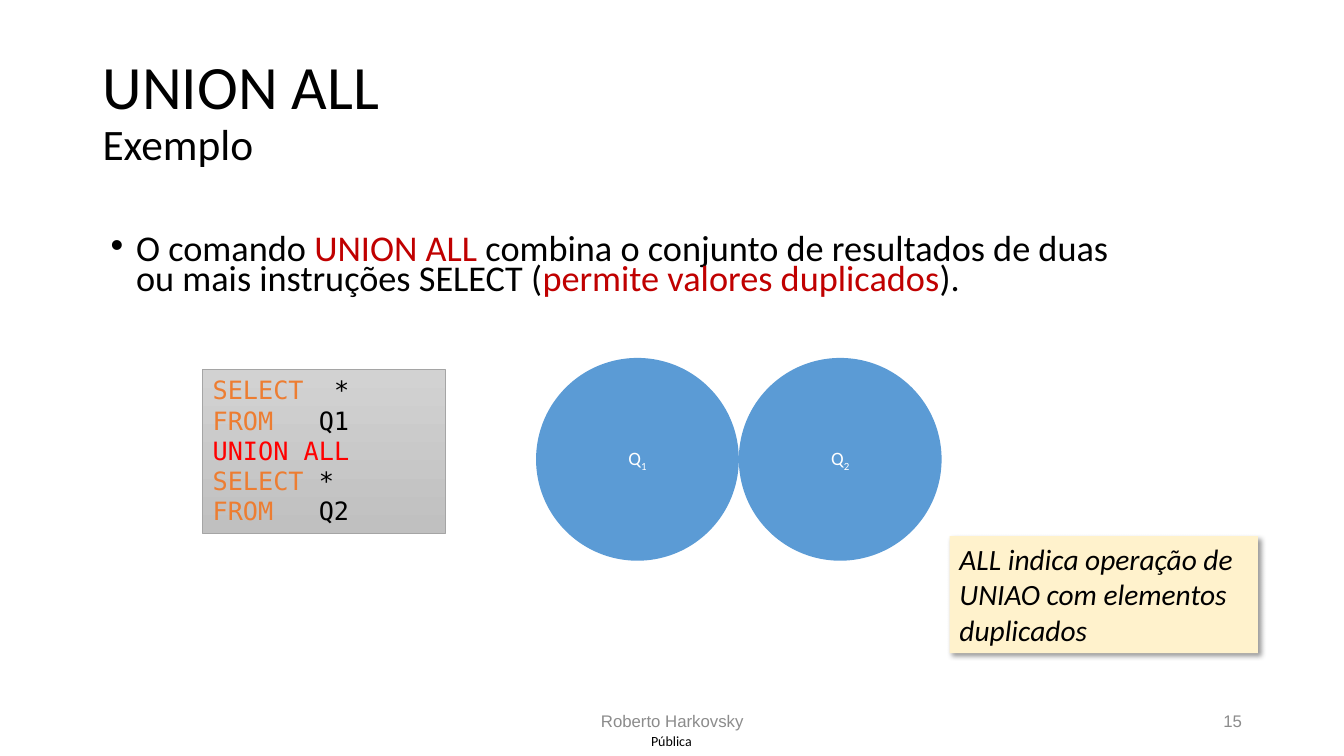
from lxml import etree
from pptx import Presentation
from pptx.dml.color import RGBColor
from pptx.enum.shapes import MSO_SHAPE
from pptx.enum.text import MSO_ANCHOR, MSO_AUTO_SIZE, PP_ALIGN
from pptx.oxml.ns import qn
from pptx.util import Cm, Pt

RECT, OVAL = MSO_SHAPE.RECTANGLE, MSO_SHAPE.OVAL
TOP, MIDDLE = MSO_ANCHOR.TOP, MSO_ANCHOR.MIDDLE
LEFT, CENTER, RIGHT = PP_ALIGN.LEFT, PP_ALIGN.CENTER, PP_ALIGN.RIGHT
FIXED = MSO_AUTO_SIZE.NONE

COLORS = {
    "black": "000000", "white": "FFFFFF", "dark": "C00000", "red": "FF0000",
    "orange": "ED7D31", "gray": "8C8C8C", "edge": "A5A5A5", "blue": "5B9BD5",
    "cream": "FFF2CC", "light": "D2D2D2", "shade": "C0C0C0",
}
TITLE = {"name": "Calibri", "size": Pt(44)}
BODY = {"name": "Calibri", "size": Pt(25.9)}
CODE = {"name": "DejaVu Sans Mono", "size": Pt(18)}
LABEL = {"name": "Calibri", "size": Pt(13.5)}
NOTE = {"name": "Calibri", "size": Pt(21), "italic": True}
FOOT = {"name": "Arial", "size": Pt(12)}
MARK = {"name": "Calibri", "size": Pt(10)}

SQL = [
    [("SELECT", "orange"), ("  *", "black")],
    [("FROM", "orange"), ("   Q1", "black")],
    [("UNION ALL", "red")],
    [("SELECT", "orange"), (" *", "black")],
    [("FROM", "orange"), ("   Q2", "black")],
]


def rgb(name):
    return RGBColor.from_string(COLORS[name])


def add_run(par, text, color, style):
    run = par.add_run()
    run.text = text
    for key, value in style.items():
        setattr(run.font, key, value)
    run.font.color.rgb = rgb(color)
    return run


def write(shape, lines, style, align=LEFT, anchor=TOP):
    """Fill a shape with lines, each a list of (text, color) runs."""
    frame = shape.text_frame
    frame.word_wrap = True
    frame.auto_size = FIXED
    frame.vertical_anchor = anchor
    for i, line in enumerate(lines):
        par = frame.add_paragraph() if i else frame.paragraphs[0]
        par.alignment = align
        for text, color in line:
            add_run(par, text, color, style)
    return frame


def add_text(slide, box, lines, style, align=LEFT, anchor=TOP):
    shape = slide.shapes.add_textbox(*map(Cm, box))
    return write(shape, lines, style, align, anchor)


def add_block(slide, kind, box, fill=None):
    shape = slide.shapes.add_shape(kind, *map(Cm, box))
    shape.shadow.inherit = False
    shape.line.fill.background()
    if fill:
        shape.fill.solid()
        shape.fill.fore_color.rgb = rgb(fill)
    return shape


def add_title(slide):
    title = slide.shapes.title
    title.left, title.top, title.width, title.height = map(
        Cm, (2.33, 1.01, 29.21, 3.68))
    frame = write(title, [[("UNION ALL", "black")]], TITLE, anchor=MIDDLE)
    par = frame.paragraphs[0]
    par.line_spacing = 0.9
    par.add_line_break()
    add_run(par, "Exemplo", "black", {**TITLE, "size": Pt(31)})


def add_body(slide):
    line = [
        ("O comando ", "black"), ("UNION ALL ", "dark"),
        ("combina o conjunto de resultados de duas ou mais instruções "
         "SELECT (", "black"),
        ("permite valores duplicados", "dark"), (").", "black"),
    ]
    frame = add_text(slide, (2.54, 5.84, 26.47, 1.98), [line], BODY)
    par = frame.paragraphs[0]
    par.line_spacing = 0.7
    props = par._p.get_or_add_pPr()
    props.set("marL", str(Cm(0.64)))
    props.set("indent", str(-Cm(0.64)))
    etree.SubElement(props, qn("a:buFont"), typeface="Arial")
    etree.SubElement(props, qn("a:buChar"), char="•")


def add_code(slide):
    shape = add_block(slide, RECT, (5.11, 9.32, 6.12, 4.11))
    shape.fill.gradient()
    shape.fill.gradient_angle = 270
    for stop, color in zip(shape.fill.gradient_stops, ("light", "shade")):
        stop.color.rgb = rgb(color)
    shape.line.color.rgb = rgb("edge")
    shape.line.width = Pt(0.5)
    write(shape, SQL, CODE)


def add_sets(slide):
    size = 5.11
    for i in range(2):
        shape = add_block(slide, OVAL, (13.51 + i * size, 9.02, size, size),
                          "blue")
        frame = write(shape, [[("Q", "white")]], LABEL, CENTER, MIDDLE)
        run = add_run(frame.paragraphs[0], str(i + 1), "white", LABEL)
        run.font._element.set("baseline", "-25000")


def add_note(slide):
    shape = add_block(slide, RECT, (23.93, 13.51, 7.77, 2.95), "cream")
    effects = shape._element.spPr.find(qn("a:effectLst"))
    shadow = etree.SubElement(
        effects, qn("a:outerShdw"), blurRad=str(Pt(4)), dist=str(Pt(3)),
        dir="2700000", algn="tl", rotWithShape="0")
    color = etree.SubElement(shadow, qn("a:srgbClr"), val=COLORS["black"])
    etree.SubElement(color, qn("a:alpha"), val="40000")
    text = "ALL indica operação de UNIAO com elementos duplicados"
    write(shape, [[(text, "black")]], NOTE)


def add_footer(slide):
    add_text(slide, (11.23, 17.65, 11.43, 1.01),
             [[("Roberto Harkovsky", "gray")]], FOOT, CENTER, MIDDLE)
    add_text(slide, (23.93, 17.65, 7.62, 1.01),
             [[("15", "gray")]], FOOT, RIGHT, MIDDLE)
    frame = add_text(slide, (16.03, 18.31, 1.78, 0.74),
                     [[("Pública", "black")]], MARK, CENTER, MIDDLE)
    for side in ("left", "top", "right", "bottom"):
        setattr(frame, f"margin_{side}", 0)


def main():
    deck = Presentation()
    deck.slide_width, deck.slide_height = Cm(33.87), Cm(19.05)
    slide = deck.slides.add_slide(deck.slide_layouts[5])
    add_title(slide)
    add_body(slide)
    add_code(slide)
    add_sets(slide)
    add_note(slide)
    add_footer(slide)
    deck.save("out.pptx")


if __name__ == "__main__":
    main()
